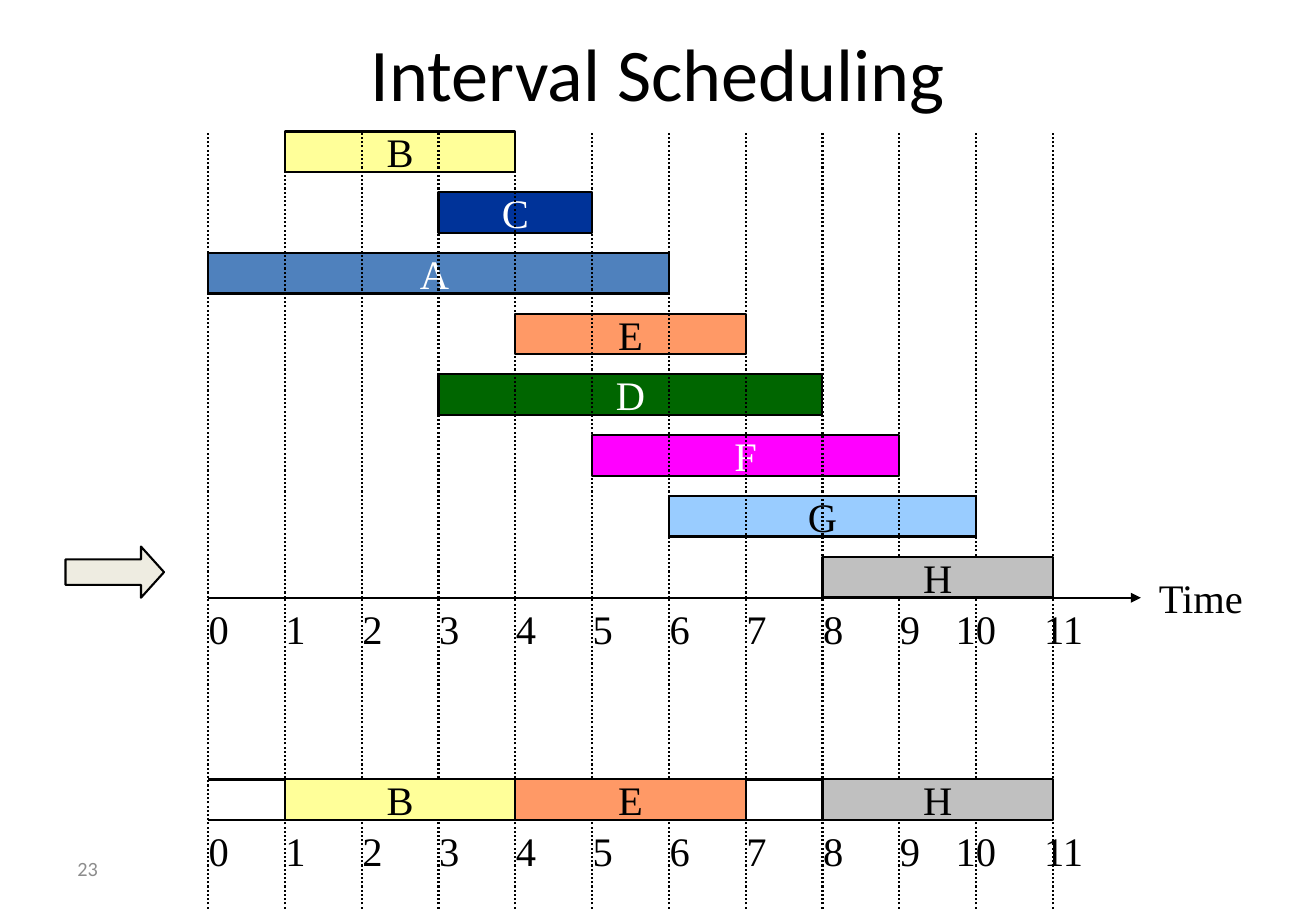
from pptx import Presentation
from pptx.dml.color import RGBColor
from pptx.enum.dml import MSO_LINE_DASH_STYLE as DASH
from pptx.enum.shapes import MSO_CONNECTOR, MSO_SHAPE
from pptx.enum.text import MSO_ANCHOR, PP_ALIGN
from pptx.oxml.ns import qn
from pptx.util import Cm, Pt
from lxml.etree import SubElement

COLORS = {
    "black": "000000", "white": "FFFFFF", "grey": "8C8C8C", "beige": "EEECE1",
    "yellow": "FFFF99", "navy": "003399", "blue": "4F81BD", "orange": "FF9966",
    "green": "006600", "magenta": "FF00FF", "sky": "99CCFF", "silver": "C0C0C0",
}
SERIF, SANS = "Times New Roman", "Calibri"

# Time scale and rows, in cm
HOURS = 11
ORIGIN, SCALE_END = 4.35, 22.01
FIRST_ROW, ROW_STEP, BAR_HEIGHT = 2.75, 1.27, 0.85
AXIS, CHOSEN_ROW, GRID_END = 12.5, 16.3, 19
CHOSEN_BASE = CHOSEN_ROW + BAR_HEIGHT

# Job: start, finish, fill, text colour; listed from the top row down
JOBS = {
    "B": (1, 4, "yellow", "black"),
    "C": (3, 5, "navy", "white"),
    "A ": (0, 6, "blue", "white"),
    "E": (4, 7, "orange", "black"),
    "D": (3, 8, "green", "white"),
    "F": (5, 9, "magenta", "white"),
    "G": (6, 10, "sky", "black"),
    "H": (8, 11, "silver", "black"),
}
CHOSEN = "BEH"


def time_x(hour):
    return ORIGIN + hour * (SCALE_END - ORIGIN) / HOURS


def color(name):
    return RGBColor.from_string(COLORS[name])


class ScheduleSlide:
    def __init__(self, prs):
        self.shapes = prs.slides.add_slide(prs.slide_layouts[6]).shapes

    def set_text(self, shape, text, size, font, ink, align, anchor):
        frame = shape.text_frame
        frame.vertical_anchor = anchor
        paragraph = frame.paragraphs[0]
        paragraph.text = text
        paragraph.alignment = align
        paragraph.font.size = Pt(size)
        paragraph.font.name = font
        paragraph.font.color.rgb = color(ink)

    def text(self, text, left, top, width, height, size=24, font=SERIF,
             ink="black", align=PP_ALIGN.CENTER, anchor=MSO_ANCHOR.TOP):
        box = self.shapes.add_textbox(Cm(left), Cm(top), Cm(width), Cm(height))
        box.text_frame.word_wrap = True
        self.set_text(box, text, size, font, ink, align, anchor)
        return box

    def shape(self, kind, left, top, width, height, fill):
        shape = self.shapes.add_shape(kind, Cm(left), Cm(top), Cm(width), Cm(height))
        shape.shadow.inherit = False
        shape.fill.solid()
        shape.fill.fore_color.rgb = color(fill)
        shape.line.color.rgb = color("black")
        shape.line.width = Pt(1.25)
        return shape

    def job(self, name, top):
        start, finish, fill, ink = JOBS[name]
        left = time_x(start)
        bar = self.shape(MSO_SHAPE.RECTANGLE, left, top,
                         time_x(finish) - left, BAR_HEIGHT, fill)
        bar.text_frame.word_wrap = False
        self.set_text(bar, name, 24, SERIF, ink, PP_ALIGN.CENTER, MSO_ANCHOR.MIDDLE)

    def line(self, x1, y1, x2, y2, dotted=False, arrow=False):
        line = self.shapes.add_connector(
            MSO_CONNECTOR.STRAIGHT, Cm(x1), Cm(y1), Cm(x2), Cm(y2))
        line.line.color.rgb = color("black")
        line.line.width = Pt(1.25)
        if dotted:
            line.line.dash_style = DASH.ROUND_DOT
        properties = line._element.spPr
        if arrow:
            SubElement(properties.find(qn("a:ln")), qn("a:tailEnd"), type="triangle")
        SubElement(properties, qn("a:effectLst"))
        return line

    def grid(self, top, bottom):
        for hour in range(HOURS + 1):
            self.line(time_x(hour), bottom, time_x(hour), top, dotted=True)

    def hours(self, top):
        for hour in range(HOURS + 1):
            nudge = 0.23 if hour == 10 else 0
            self.text(str(hour), time_x(hour) - 0.46 - nudge, top, 1.37, 1.3)


def main():
    prs = Presentation()
    prs.slide_width, prs.slide_height = Cm(27.51), Cm(19.05)
    slide = ScheduleSlide(prs)

    # Title and slide number
    slide.text("23", 1.37, 17.65, 6.43, 1.02, 12, SANS, "grey",
               PP_ALIGN.LEFT, MSO_ANCHOR.MIDDLE)
    slide.text("Interval Scheduling", 1.37, -0.08, 24.77, 3.18, 44, SANS,
               anchor=MSO_ANCHOR.MIDDLE)

    # Chosen schedule
    slide.grid(AXIS, GRID_END)
    for edge in (CHOSEN_ROW, CHOSEN_BASE):
        slide.line(ORIGIN, edge, SCALE_END, edge)
    slide.hours(CHOSEN_BASE)
    for name in CHOSEN:
        slide.job(name, CHOSEN_ROW)

    # Marker of the job under consideration
    marker = slide.shape(MSO_SHAPE.RIGHT_ARROW, 1.37, 11.43, 2.06, 1.07, "beige")
    marker.adjustments[1] = 0.45

    # Time axis
    time_label = slide.text("Time", 23.85, AXIS - 0.65, 2.51, 1.3)
    axis = slide.line(ORIGIN, AXIS, 23.85, AXIS, arrow=True)
    axis.end_connect(time_label, 1)
    slide.hours(AXIS)

    # All jobs, the last one in front of the grid
    *earlier, last = JOBS
    for row, name in enumerate(earlier):
        slide.job(name, FIRST_ROW + row * ROW_STEP)
    slide.grid(FIRST_ROW, AXIS)
    slide.job(last, FIRST_ROW + len(earlier) * ROW_STEP)

    prs.save("out.pptx")


if __name__ == "__main__":
    main()
